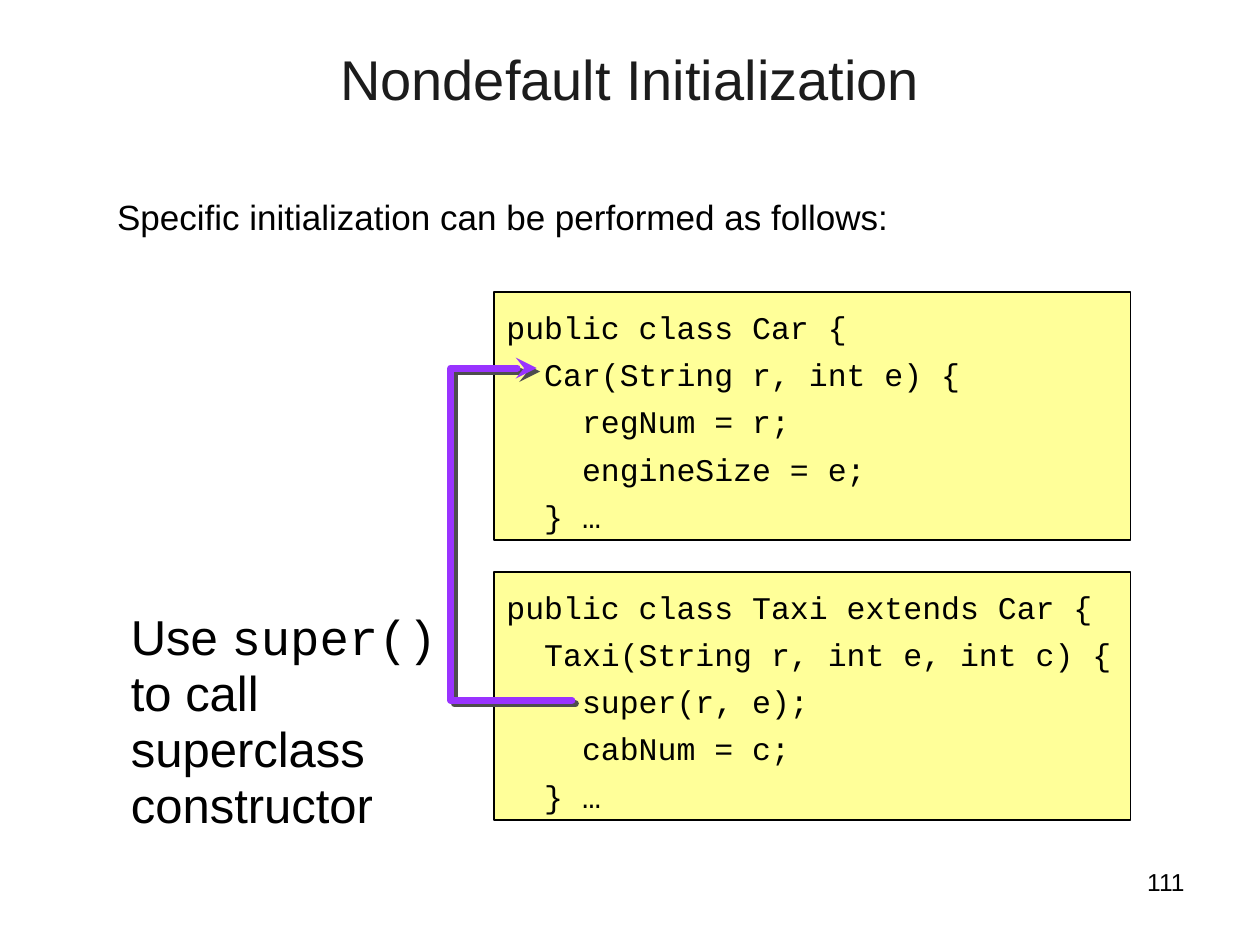
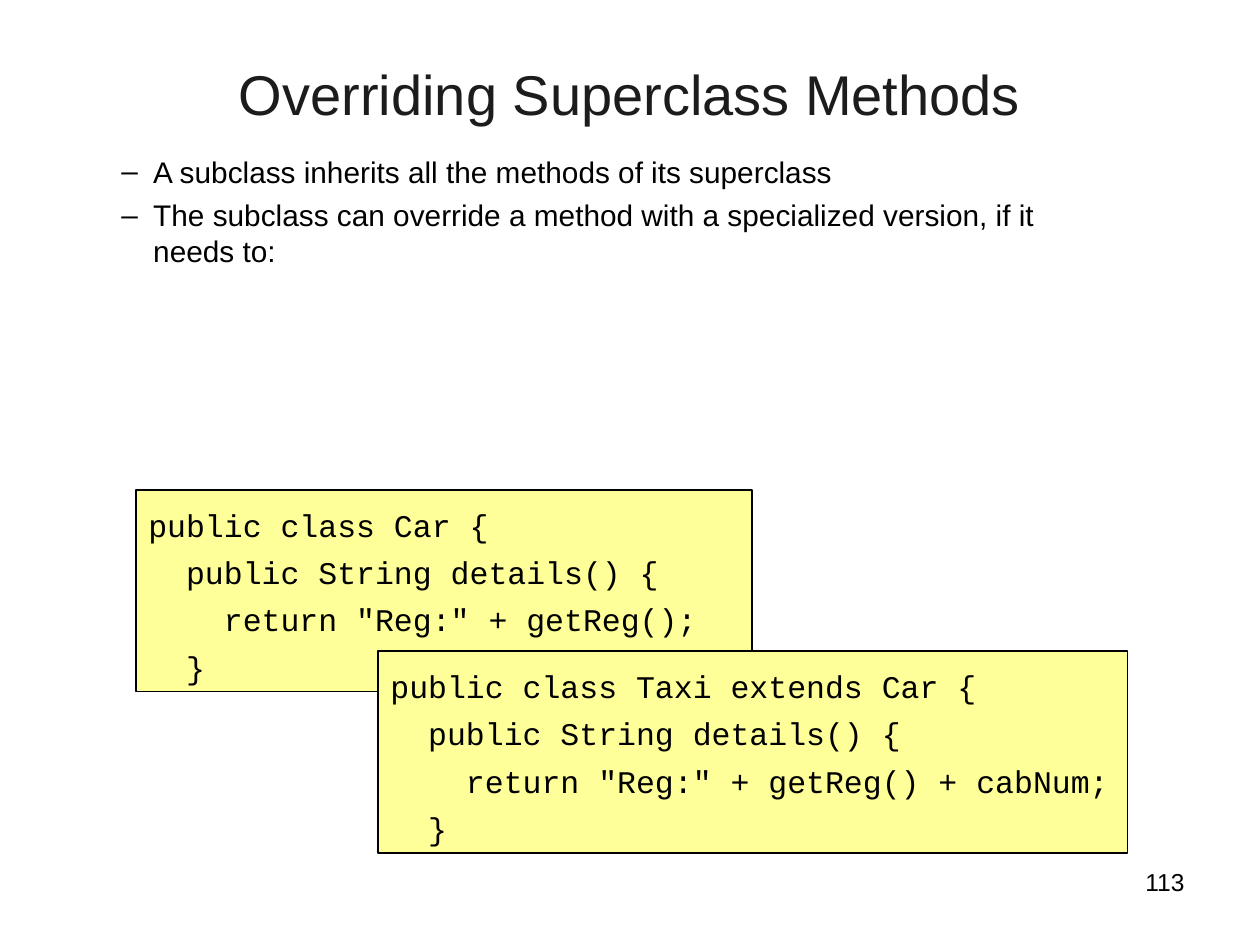
"""Build two slides on constructors and overriding in Java."""
import lxml.etree
import pptx
import pptx.dml.color
import pptx.enum.shapes
import pptx.enum.text
import pptx.oxml
import pptx.oxml.ns
import pptx.util

Cm, Pt = pptx.util.Cm, pptx.util.Pt
RGB = pptx.dml.color.RGBColor.from_string
ALIGN = pptx.enum.text.PP_ALIGN
SANS, MONO = "Arial", "Courier New"

THEME = {
    "box": "FFFF99",
    "edge": "000000",
    "arrow": "9933FF",
    "shade": "4D4D4D",
    "title": {"size": 32, "color": "1C1C1C", "para": {"alignment": ALIGN.CENTER}},
    "lead": {"size": 20, "color": "000000", "para": {}},
    "list": {"size": 17, "color": "000000", "para": {}, "dash": True, "gap": 4.2},
    "code": {"size": 18, "color": "000000", "para": {"line_spacing": 1.25}},
    "note": {"size": 28, "color": "000000", "para": {"line_spacing": 0.95}},
    "page": {"size": 14, "color": "000000", "para": {"alignment": ALIGN.RIGHT}},
}

PAGE = (18.21, 17.35, 5.92, 1.32)

SLIDES = [
    {
        "page": "111",
        "texts": [
            ("title", (1.27, 0.76, 22.86, 1.37), ["Nondefault Initialization"]),
            ("lead", (2.11, 3.81, 20.93, 1.27),
             ["Specific initialization can be performed as follows:"]),
        ],
        "codes": [
            ((9.96, 5.89), 12.83, [
                "public class Car {",
                "  Car(String r, int e) {",
                "    regNum = r;",
                "    engineSize = e;",
                "  } …",
            ]),
            ((9.96, 11.53), 12.83, [
                "public class Taxi extends Car {",
                "  Taxi(String r, int e, int c) {",
                "    super(r, e);",
                "    cabNum = c;",
                "  } …",
            ]),
        ],
        "arrow": [(11.53, 14.12), (9.09, 14.12), (9.09, 7.42), (10.82, 7.42)],
        "notes": [
            ("note", (2.39, 12.19, 7.49, 4.78),
             [[("Use ", SANS), ("super()", MONO),
               (" to call superclass constructor", SANS)]]),
        ],
    },
    {
        "page": "113",
        "texts": [
            ("title", (1.9, 1.07, 21.6, 3.18), ["Overriding Superclass Methods"]),
            ("list", (1.9, 2.97, 20.93, 2.97), [
                "A subclass inherits all the methods of its superclass",
                "The subclass can override a method with a specialized version, "
                "if it needs to:",
            ]),
        ],
        "codes": [
            ((2.74, 9.88), 12.42, [
                "public class Car {",
                "  public String details() {",
                '    return "Reg:" + getReg();',
                "  }",
            ]),
            ((7.62, 13.13), 15.11, [
                "public class Taxi extends Car {",
                "  public String details() {",
                '    return "Reg:" + getReg() + cabNum;',
                "  }",
            ]),
        ],
        "arrow": [],
        "notes": [],
    },
]


def apply(thing, values):
    for name, value in values.items():
        setattr(thing, name, value)


def add_xml(node, text):
    uri = pptx.oxml.ns.nsdecls("a")
    node.append(pptx.oxml.parse_xml(text.replace("/>", f" {uri}/>", 1)
                if text.endswith("/>") and text.count("<") == 1
                else text.replace(">", f" {uri}>", 1)))


def add_dash(para):
    props = para._p.get_or_add_pPr()
    apply_xml = {"marL": Cm(0.94), "indent": Cm(-0.64)}
    for name, value in apply_xml.items():
        props.set(name, str(int(value)))
    add_xml(props, '<a:buFont typeface="Arial"/>')
    add_xml(props, '<a:buChar char="–"/>')


def fill_text(frame, kind, lines, font=SANS):
    style = THEME[kind]
    apply(frame, {
        "word_wrap": True,
        "vertical_anchor": pptx.enum.text.MSO_ANCHOR.TOP,
        "margin_left": Cm(0.25), "margin_right": Cm(0.25),
        "margin_top": Cm(0.13), "margin_bottom": Cm(0.13),
    })
    for num, line in enumerate(lines):
        para = frame.add_paragraph() if num else frame.paragraphs[0]
        apply(para, {"alignment": ALIGN.LEFT, **style["para"]})
        if num and "gap" in style:
            para.space_before = Pt(style["gap"])
        if style.get("dash"):
            add_dash(para)
        for words, face in [(line, font)] if isinstance(line, str) else line:
            run = para.add_run()
            run.text = words
            apply(run.font, {"name": face, "size": Pt(style["size"])})
            run.font.color.rgb = RGB(style["color"])


def add_text(slide, kind, place, lines):
    box = slide.shapes.add_textbox(*map(Cm, place))
    fill_text(box.text_frame, kind, lines)


def add_code(slide, start, width, lines):
    height = 0.94 * len(lines) + 0.3
    box = slide.shapes.add_shape(
        pptx.enum.shapes.MSO_SHAPE.RECTANGLE,
        *map(Cm, (*start, width, height)))
    box.shadow.inherit = False
    box.fill.solid()
    box.fill.fore_color.rgb = RGB(THEME["box"])
    box.line.color.rgb = RGB(THEME["edge"])
    box.line.width = Pt(1)
    fill_text(box.text_frame, "code", lines, MONO)


def add_arrow(slide, points):
    first, *rest = [tuple(map(Cm, point)) for point in points]
    build = slide.shapes.build_freeform(*first)
    build.add_line_segments(rest, close=False)
    arrow = build.convert_to_shape()
    arrow.fill.background()
    arrow.line.color.rgb = RGB(THEME["arrow"])
    arrow.line.width = Pt(4)
    line = arrow.line._get_or_add_ln()
    line.set("cap", "rnd")
    add_xml(line, "<a:round/>")
    add_xml(line, '<a:tailEnd type="stealth"/>')
    add_xml(arrow._element.spPr, (
        f'<a:effectLst><a:outerShdw dist="{int(Pt(2.8))}" dir="2700000">'
        f'<a:srgbClr val="{THEME["shade"]}"/></a:outerShdw></a:effectLst>'))


def main():
    deck = pptx.Presentation()
    apply(deck, {"slide_width": Cm(25.4), "slide_height": Cm(19.05)})
    for data in SLIDES:
        slide = deck.slides.add_slide(deck.slide_layouts[6])
        add_text(slide, "page", PAGE, [data["page"]])
        for item in data["texts"]:
            add_text(slide, *item)
        for item in data["codes"]:
            add_code(slide, *item)
        if data["arrow"]:
            add_arrow(slide, data["arrow"])
        for item in data["notes"]:
            add_text(slide, *item)
    deck.save("out.pptx")


if __name__ == "__main__":
    main()
